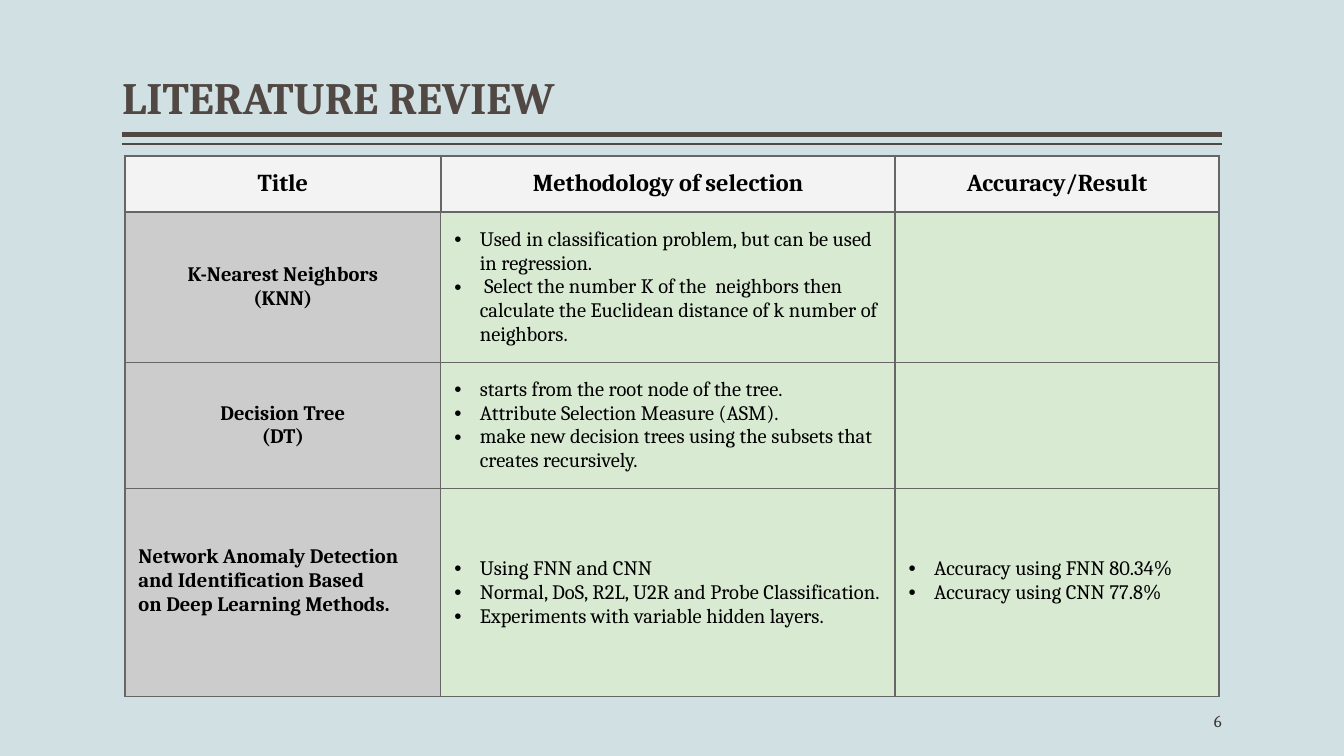
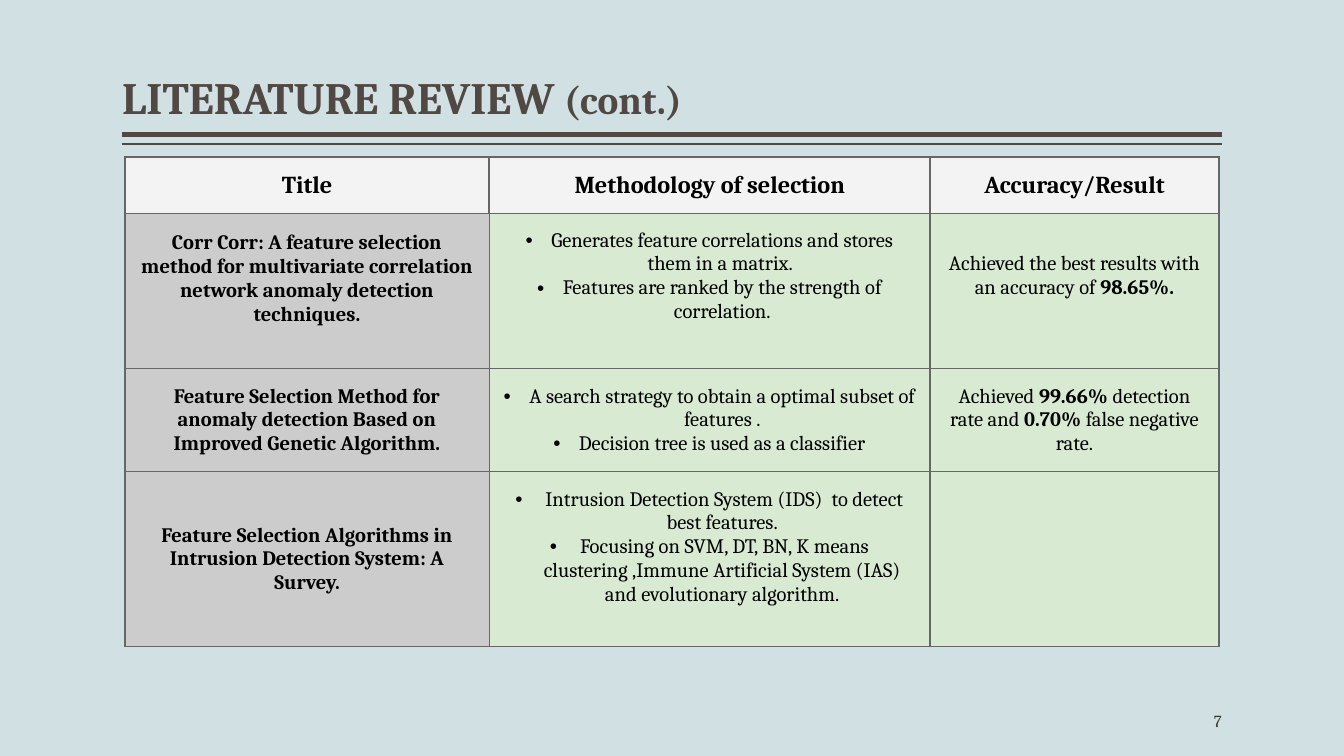
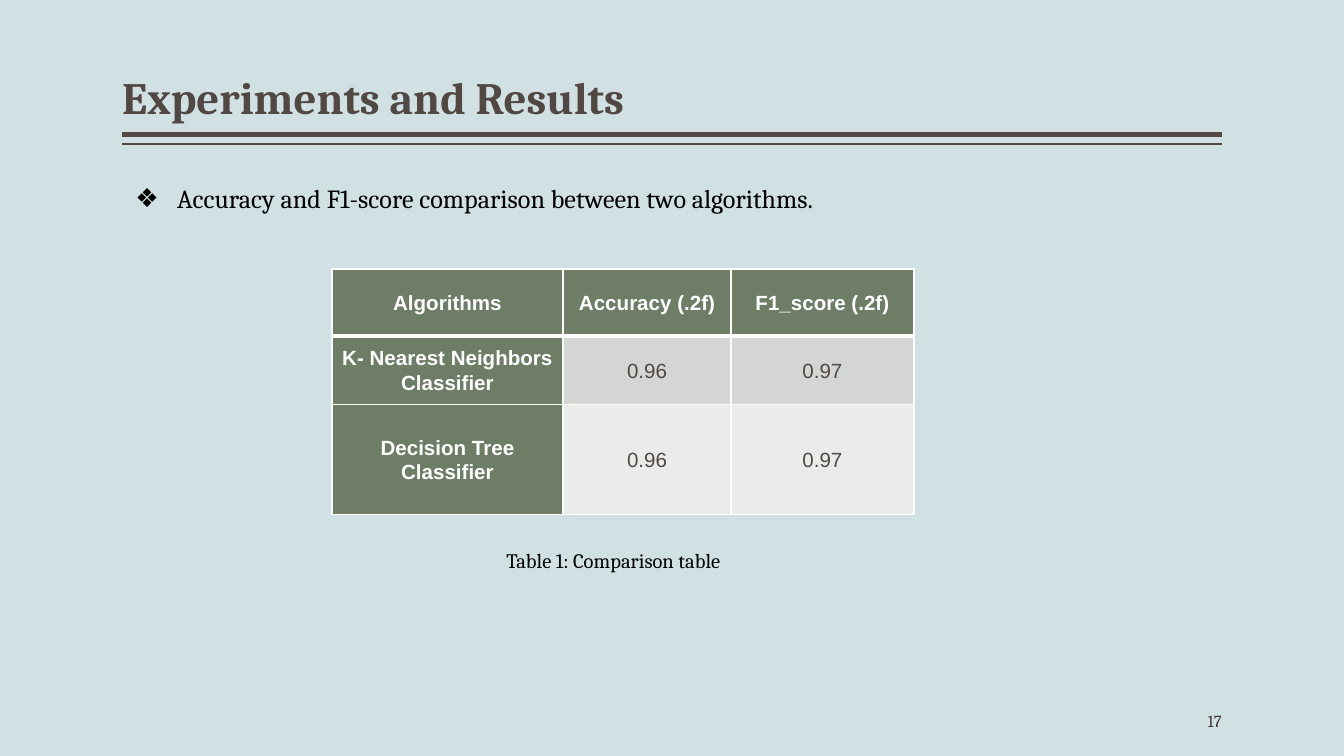
from dataclasses import dataclass

from pptx import Presentation
from pptx import util as u
from pptx.dml.color import RGBColor
from pptx.enum import shapes, text
from pptx.oxml import parse_xml
from pptx.oxml.ns import nsdecls

SKY = RGBColor(0xD0, 0xE0, 0xE3)
BROWN = RGBColor(0x51, 0x48, 0x43)
DARK_BROWN = RGBColor(0x3C, 0x36, 0x32)
BLACK = RGBColor(0x00, 0x00, 0x00)
WHITE = RGBColor(0xFF, 0xFF, 0xFF)
GRID_GREY = RGBColor(0x66, 0x66, 0x66)
HEADER_GREY = RGBColor(0xF3, 0xF3, 0xF3)
TITLE_GREY = RGBColor(0xCC, 0xCC, 0xCC)
MINT = RGBColor(0xD9, 0xEA, 0xD3)
MOSS = RGBColor(0x6D, 0x7D, 0x66)
BAND_DARK = RGBColor(0xD3, 0xD6, 0xD2)
BAND_LIGHT = RGBColor(0xEA, 0xEC, 0xEA)

SERIF = "Cambria"
SANS = "Arial"
LEFT, RIGHT = 0.91, 9.09
TABLE_FRAME = u.Inches(3.28)
CENTER, START, END = text.PP_ALIGN.CENTER, text.PP_ALIGN.LEFT, text.PP_ALIGN.RIGHT
MIDDLE, BOTTOM, TOP = text.MSO_ANCHOR.MIDDLE, text.MSO_ANCHOR.BOTTOM, text.MSO_ANCHOR.TOP


@dataclass
class Style:
    """Look of a run of text and its paragraph."""
    size: float
    color: RGBColor = BLACK
    font: str = SERIF
    bold: bool = False
    align: int = START
    spacing: float = 1.0
    bullet: str = ""
    indent: float = 0.19


@dataclass
class Cell:
    """Table cell content; extra is added to the lower margin."""
    lines: tuple
    style: Style
    fill: RGBColor
    extra: float = 0


def add_bullet(para, style):
    """Give a paragraph a hanging bullet."""
    props = para._p.get_or_add_pPr()
    indent = u.Inches(style.indent)
    props.set("marL", str(indent))
    props.set("indent", str(-indent))
    space = nsdecls("a")
    props.append(parse_xml(f'<a:buClr {space}><a:srgbClr val="{BLACK}"/></a:buClr>'))
    props.append(parse_xml(f'<a:buFont {space} typeface="{SANS}"/>'))
    props.append(parse_xml(f'<a:buChar {space} char="{style.bullet}"/>'))


def add_span(para, words, style, bold, size=None):
    """Append a formatted run."""
    span = para.add_run()
    span.text = words
    span.font.name = style.font
    span.font.size = u.Pt(size or style.size)
    span.font.color.rgb = style.color
    span.font.bold = bold


def write(frame, lines, style):
    """Fill a text frame; parts between double asterisks switch boldness."""
    for number, line in enumerate(lines):
        para = frame.add_paragraph() if number else frame.paragraphs[0]
        para.alignment = style.align
        if style.spacing != 1:
            para.line_spacing = style.spacing
        if style.bullet:
            add_bullet(para, style)
        for part_number, part in enumerate(line.split("**")):
            if part:
                add_span(para, part, style, style.bold != bool(part_number % 2))


def add_text(page, area, lines, style, anchor=TOP, margins=(0.1, 0.1)):
    """Add a wrapping text box with side and vertical margins."""
    box = page.shapes.add_textbox(*map(u.Inches, area))
    frame = box.text_frame
    frame.word_wrap = True
    frame.vertical_anchor = anchor
    frame.margin_left = frame.margin_right = u.Inches(margins[0])
    frame.margin_top = frame.margin_bottom = u.Inches(margins[1])
    write(frame, lines, style)
    return box


def add_rule(page, top, width):
    """Draw a horizontal rule below the title."""
    rule = page.shapes.add_connector(
        shapes.MSO_CONNECTOR.STRAIGHT,
        u.Inches(RIGHT), u.Inches(top), u.Inches(LEFT), u.Inches(top))
    rule.line.color.rgb = BROWN
    rule.line.width = u.Pt(width)
    rule._element.spPr.append(parse_xml(f'<a:effectLst {nsdecls("a")}/>'))


def add_page(deck, title, number, suffix="", title_width=4.54):
    """Add a slide with background, rules, page number and title."""
    page = deck.slides.add_slide(deck.slide_layouts[6])
    page.background.fill.solid()
    page.background.fill.fore_color.rgb = SKY
    add_rule(page, 1, 3)
    add_rule(page, 1.07, 1)
    add_text(page, (7.59, 5.21, 1.5, 0.3), [str(number)],
             Style(9, DARK_BROWN, align=END), MIDDLE, (0, 0.04))
    style = Style(24, BROWN, bold=True, spacing=0.9)
    heading = add_text(page, (LEFT, 0.24, title_width, 0.72), [title],
                       style, BOTTOM, (0, 0.04))
    if suffix:
        add_span(heading.text_frame.paragraphs[0], suffix, style, True, 21)
    return page


def set_borders(cell, color, widths):
    """Draw the left, right, top and bottom borders of a cell."""
    props = cell._tc.get_or_add_tcPr()
    for position, (side, width) in enumerate(zip("LRTB", widths)):
        props.insert(position, parse_xml(
            f'<a:ln{side} {nsdecls("a")} w="{u.Pt(width)}"><a:solidFill>'
            f'<a:srgbClr val="{color}"/></a:solidFill></a:ln{side}>'))


def add_grid(page, left, top, widths, heights, rows, color, head_borders, body_border, margins):
    """Add a table of Cell rows with a distinct header border."""
    frame = page.shapes.add_table(
        len(rows), len(widths), u.Inches(left), u.Inches(top), TABLE_FRAME, TABLE_FRAME)
    table = frame.table
    table.first_row = table.horz_banding = False
    for column, width in zip(table.columns, widths):
        column.width = u.Inches(width)
    below_header = (body_border, body_border, head_borders[3], body_border)
    borders = [head_borders, below_header] + [(body_border,) * 4] * (len(rows) - 2)
    for row_number, (row, height) in enumerate(zip(rows, heights)):
        table.rows[row_number].height = u.Inches(height)
        for column_number, content in enumerate(row):
            cell = table.cell(row_number, column_number)
            cell.vertical_anchor = MIDDLE
            cell.margin_left = cell.margin_right = u.Inches(margins[0])
            cell.margin_top = u.Inches(margins[1])
            cell.margin_bottom = u.Inches(margins[1] + content.extra)
            cell.fill.solid()
            cell.fill.fore_color.rgb = content.fill
            set_borders(cell, color, borders[row_number])
            write(cell.text_frame, content.lines, content.style)
    frame.width = frame.height = TABLE_FRAME


def add_review(page, top, widths, heights, rows):
    """Add a literature table below its shared header row."""
    head = Style(13, bold=True, align=CENTER)
    header = [Cell((label,), head, HEADER_GREY)
              for label in ("Title", "Methodology of selection", "Accuracy/Result")]
    add_grid(page, 0.93, top, widths, heights, [header, *rows], GRID_GREY,
             (1.5, 1.5, 1.5, 0.75), 0.75, (0.1, 0.1))


def paper(*lines, align=CENTER, extra=0):
    """Make a cell naming a paper or method."""
    return Cell(lines, Style(11, bold=True, align=align), TITLE_GREY, extra)


def points(*lines, align=START, extra=0):
    """Make a bulleted cell."""
    return Cell(lines, Style(11, align=align, bullet="•"), MINT, extra)


def finding(*lines, extra=0):
    """Make a centred result cell."""
    return Cell(lines, Style(11, align=CENTER), MINT, extra)


def build_review(deck):
    """Build the first literature slide."""
    page = add_page(deck, "LITERATURE REVIEW", 6)
    add_review(page, 1.16, (2.35, 3.38, 2.41), (0.38, 0.95, 0.94, 1.55), [
        [paper("K-Nearest Neighbors", "(KNN)"),
         points("Used in classification problem, but can be used in regression.",
                " Select the number K of the  neighbors then calculate the Euclidean "
                "distance of k number of neighbors."),
         finding()],
        [paper("Decision Tree", "(DT)"),
         points("starts from the root node of the tree.",
                "Attribute Selection Measure (ASM).",
                "make new decision trees using the subsets that creates recursively."),
         finding()],
        [paper("Network Anomaly Detection and Identification Based",
               "on Deep Learning Methods.", align=START, extra=0.18),
         points("Using FNN and CNN",
                "Normal, DoS, R2L, U2R and Probe Classification.",
                "Experiments with variable hidden layers."),
         points("Accuracy using FNN 80.34%", "Accuracy using CNN 77.8%", extra=0.18)],
    ])


def build_review_continued(deck):
    """Build the second literature slide."""
    page = add_page(deck, "LITERATURE REVIEW ", 7, "(cont.)")
    add_review(page, 1.17, (2.71, 3.28, 2.15), (0.38, 0.99, 0.77, 1.14), [
        [paper("Corr Corr: A feature selection method for multivariate correlation "
               "network anomaly detection techniques.", extra=0.18),
         points("Generates feature correlations and stores them in a matrix. ",
                "Features are ranked by the strength of correlation.",
                align=CENTER, extra=0.22),
         finding("Achieved the best results with an accuracy of **98.65%.**", extra=0.22)],
        [paper("Feature Selection Method for anomaly detection Based on "
               "Improved Genetic Algorithm."),
         points("A search strategy to obtain a optimal subset of features .",
                "Decision tree is used as a classifier", align=CENTER),
         finding("Achieved **99.66% **detection rate and **0.70% **false negative rate.")],
        [paper("Feature Selection Algorithms in Intrusion Detection System: A Survey."),
         points(" Intrusion Detection System (IDS)  to detect best features.",
                " Focusing on SVM, DT, BN, K means clustering ,Immune Artificial System "
                "(IAS) and evolutionary algorithm.", align=CENTER, extra=0.18),
         finding()],
    ])


def build_results(deck):
    """Build the slide comparing the two classifiers."""
    page = add_page(deck, "Experiments and Results", 17, title_width=5.9)
    add_text(page, (LEFT, 1.26, 7.8, 0.44),
             ["Accuracy and F1-score comparison between two algorithms."],
             Style(14, bullet="❖", indent=0.31))
    label = Style(11, WHITE, SANS, True, CENTER, 1.07)
    score = Style(11, BROWN, SANS, False, CENTER, 1.07)
    rows = [[Cell((name,), label, MOSS)
             for name in ("Algorithms", "Accuracy (.2f)", "F1_score (.2f)")]]
    for name, band in (("K- Nearest Neighbors Classifier", BAND_DARK),
                       ("Decision Tree Classifier", BAND_LIGHT)):
        rows.append([Cell((name,), label, MOSS),
                     *(Cell((value,), score, band) for value in ("0.96", "0.97"))])
    add_grid(page, 2.47, 2, (1.72, 1.25, 1.36), (0.5, 0.51, 0.82), rows, WHITE,
             (1, 1, 1, 3), 1, (0.07, 0))
    add_text(page, (3.67, 4.03, 2.88, 0.29), ["Table 1: Comparison table"],
             Style(11), margins=(0.1, 0.05))


def main():
    """Build and save the deck."""
    deck = Presentation()
    deck.slide_width = u.Inches(10)
    deck.slide_height = u.Inches(10 * 9 / 16)
    build_review(deck)
    build_review_continued(deck)
    build_results(deck)
    deck.save("out.pptx")


if __name__ == "__main__":
    main()
